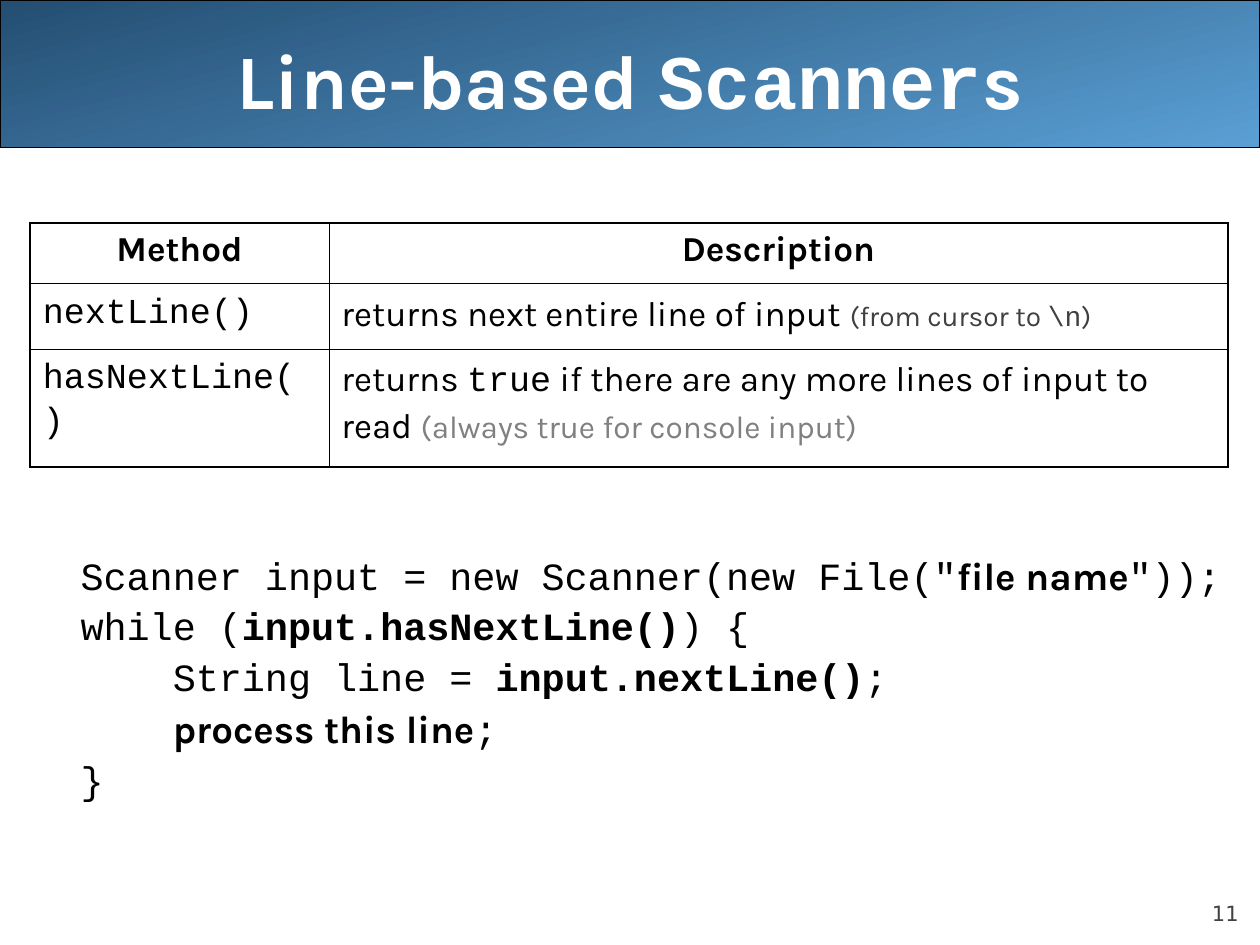
from lxml import etree
from pptx import Presentation
from pptx.dml.color import RGBColor
from pptx.enum import shapes, text
from pptx.oxml import ns
from pptx.util import Cm, Pt

COLORS = {
    "ink": "000000", "white": "FFFFFF", "header_dark": "244E72",
    "header_light": "5A9FD4", "number": "424242", "note": "404040",
    "aside": "808080",
}
SANS, MONO = "Karla", "Courier New"
OUTER, INNER = Pt(1.08), Pt(0.45)

TABLE_ROWS = [
    [[("Method", SANS, True)], [("Description", SANS, True)]],
    [[("nextLine()", MONO)],
     [("returns next entire line of input ", SANS),
      ("(from cursor to ", SANS, False, 16, "note"),
      ("\\n", MONO, False, 16, "note"), (")", SANS, False, 16, "note")]],
    [[("hasNextLine()", MONO)],
     [("returns ", SANS), ("true", MONO),
      (" if there are any more lines of input to read ", SANS),
      ("(always true for console input)", SANS, False, 18, "aside")]],
]
CODE_LINES = [
    [('Scanner input = new Scanner(new File("', MONO),
     ("file name", SANS, True), ('"));', MONO)],
    [("while (", MONO), ("input.hasNextLine()", MONO, True), (") {", MONO)],
    [("    String line = ", MONO), ("input.nextLine()", MONO, True), (";", MONO)],
    [("    ", MONO), ("process this line", SANS, True), (";", MONO)],
    [("}", MONO)],
]


def rgb(name):
    return RGBColor.from_string(COLORS[name])


def place(item, left, top, width, height):
    item.left, item.top = Cm(left), Cm(top)
    item.width, item.height = Cm(width), Cm(height)


def add_runs(paragraph, runs, base_size, base_color="ink"):
    for content, face, *style in runs:
        bold, size, color = (style + [False, base_size, base_color][len(style):])
        run = paragraph.add_run()
        run.text = content
        run.font.name = face
        run.font.bold = bold
        run.font.size = Pt(size)
        run.font.color.rgb = rgb(color)


def add_header(slide, width):
    header = slide.shapes.add_shape(
        shapes.MSO_SHAPE.RECTANGLE, 0, 0, width, Cm(2.97))
    header.shadow.inherit = False
    header.fill.gradient()
    header.fill.gradient_angle = 285
    for stop, color in zip(header.fill.gradient_stops,
                           ("header_dark", "header_light")):
        stop.color.rgb = rgb(color)
    header.line.color.rgb = rgb("ink")
    header.line.width = Pt(0.75)
    slide.shapes._spTree.insert(2, header._element)


def fill_title(title):
    place(title, 1.27, 0, 22.86, 3.18)
    title.text_frame.vertical_anchor = text.MSO_ANCHOR.MIDDLE
    title.text_frame.auto_size = text.MSO_AUTO_SIZE.NONE
    paragraph = title.text_frame.paragraphs[0]
    paragraph.alignment = text.PP_ALIGN.CENTER
    add_runs(paragraph, [("Line-based ", SANS, True), ("Scanner", MONO, True),
                         ("s", SANS, True)], 44, "white")


def fill_code(body):
    place(body, 0.43, 10.9, 24.97, 7.1)
    frame = body.text_frame
    frame.auto_size = text.MSO_AUTO_SIZE.NONE
    frame.vertical_anchor = text.MSO_ANCHOR.TOP
    for index, runs in enumerate(CODE_LINES):
        paragraph = frame.add_paragraph() if index else frame.paragraphs[0]
        paragraph.level = 1
        paragraph.line_spacing = 0.9 if index else 1.1
        paragraph.space_before = Pt(5.5 if index else 0)
        properties = paragraph._p.get_or_add_pPr()
        properties.set("marL", str(Cm(1.73)))
        properties.set("indent", str(Cm(-0.79)))
        etree.SubElement(properties, ns.qn("a:buNone"))
        add_runs(paragraph, runs, 22)


def set_borders(cell, widths):
    properties = cell._tc.get_or_add_tcPr()
    for side, width in zip("LRTB", widths):
        border = etree.SubElement(properties, ns.qn(f"a:ln{side}"), w=str(width))
        fill = etree.SubElement(border, ns.qn("a:solidFill"))
        etree.SubElement(fill, ns.qn("a:srgbClr"), val=COLORS["ink"])


def add_methods(slide):
    widths, heights = (6.02, 18.13), (1.22, 1.32, 2.38)
    methods = slide.shapes.add_table(
        len(heights), len(widths), Cm(0.61), Cm(4.5),
        Cm(sum(widths)), Cm(sum(heights))).table
    methods.first_row = methods.horz_banding = False
    for column, width in zip(methods.columns, widths):
        column.width = Cm(width)
    for row, height in zip(methods.rows, heights):
        row.height = Cm(height)
    last_row, last_column = len(heights) - 1, len(widths) - 1
    for r, row in enumerate(TABLE_ROWS):
        for c, runs in enumerate(row):
            cell = methods.cell(r, c)
            edges = (c == 0, c == last_column, r == 0, r == last_row)
            set_borders(cell, [OUTER if edge else INNER for edge in edges])
            cell.fill.background()
            paragraph = cell.text_frame.paragraphs[0]
            if r == 0:
                paragraph.alignment = text.PP_ALIGN.CENTER
            else:
                paragraph.line_spacing = 1.1
            add_runs(paragraph, runs, 20)


def add_page_number(slide):
    frame = slide.shapes.add_textbox(
        Cm(22.86), Cm(17.65), Cm(2.11), Cm(1.02)).text_frame
    frame.word_wrap = True
    frame.vertical_anchor = text.MSO_ANCHOR.BOTTOM
    frame.margin_left = frame.margin_right = 0
    frame.margin_top = frame.margin_bottom = 0
    paragraph = frame.paragraphs[0]
    paragraph.alignment = text.PP_ALIGN.RIGHT
    add_runs(paragraph, [("11", "DejaVu Sans")], 12, "number")


def main():
    deck = Presentation()
    deck.slide_width, deck.slide_height = Cm(25.4), Cm(19.05)
    slide = deck.slides.add_slide(deck.slide_layouts[1])
    add_header(slide, deck.slide_width)
    fill_title(slide.shapes.title)
    fill_code(slide.placeholders[1])
    add_methods(slide)
    add_page_number(slide)
    deck.save("out.pptx")


if __name__ == "__main__":
    main()
